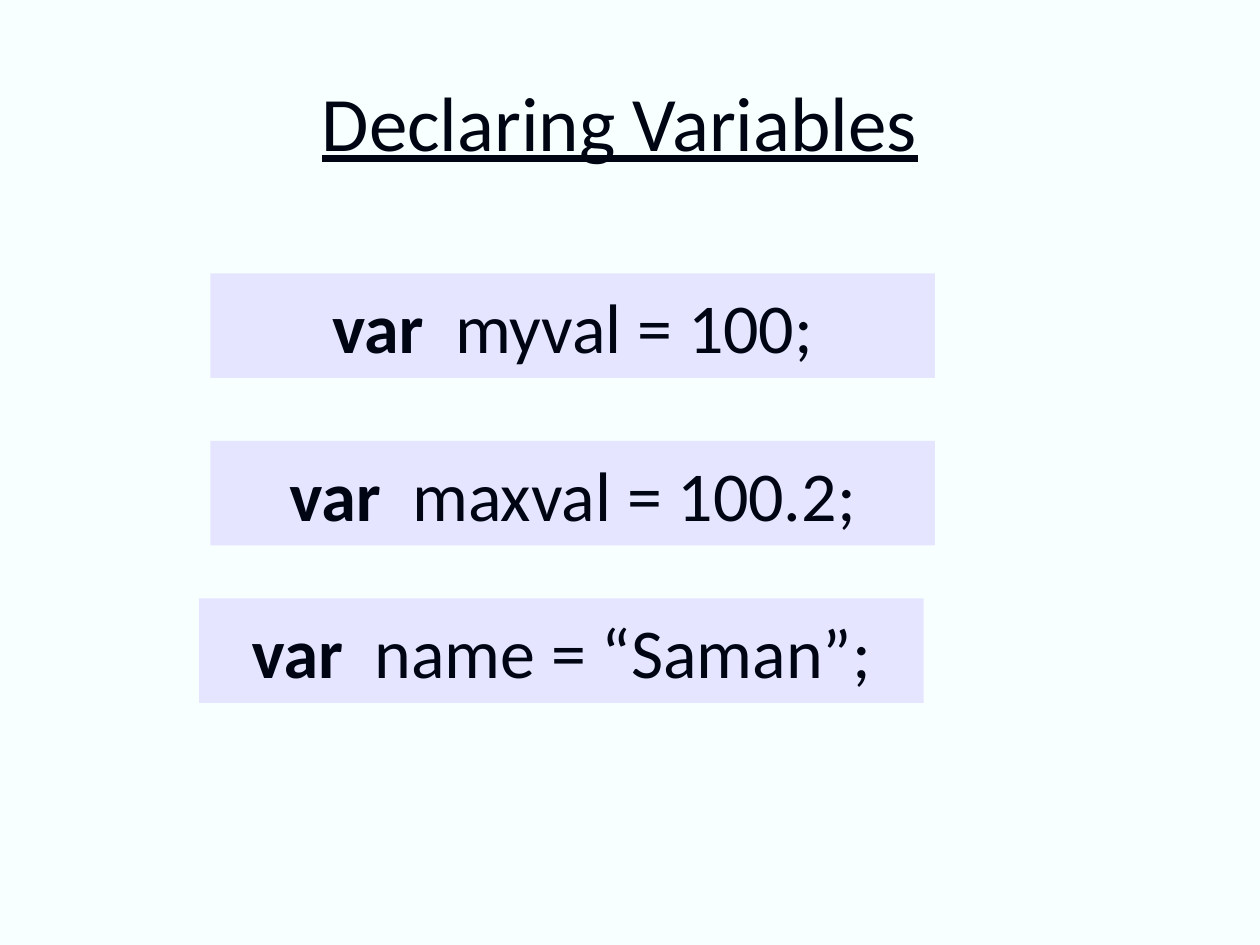
from pptx import Presentation
from pptx.dml.color import RGBColor
from pptx.enum.shapes import MSO_SHAPE
from pptx.enum.text import MSO_ANCHOR, PP_ALIGN
from pptx.util import Inches, Pt

COLORS = {"background": "F7FFFF", "panel": "E5E5FF", "text": "000514"}
TITLE_FORMAT = {"name": "Calibri", "size": Pt(44), "underline": True, "bold": False}
KEYWORD_FORMAT = {"name": "Calibri", "size": Pt(40), "bold": True}
CODE_FORMAT = {**KEYWORD_FORMAT, "bold": False}

PANEL_WIDTH, PANEL_HEIGHT = 5.75, 0.83
DECLARATIONS = [
    (1.67, 2.17, "myval = 100;"),
    (1.67, 3.5, "maxval = 100.2;"),
    (1.58, 4.75, "name = “Saman”;"),
]


def color(role):
    return RGBColor.from_string(COLORS[role])


def add_run(paragraph, text, font_format):
    run = paragraph.add_run()
    run.text = text
    for attribute, value in font_format.items():
        setattr(run.font, attribute, value)
    run.font.color.rgb = color("text")


def place_title(slide, left, top, width, height):
    title = slide.shapes.title
    box = {"left": left, "top": top, "width": width, "height": height}
    for attribute, value in box.items():
        setattr(title, attribute, Inches(value))
    title.text_frame.vertical_anchor = MSO_ANCHOR.MIDDLE
    heading = title.text_frame.paragraphs[0]
    heading.alignment = PP_ALIGN.CENTER
    add_run(heading, "Declaring Variables", TITLE_FORMAT)


def add_declaration(slide, left, top, width, height, assignment):
    """Add a panel with a bold var keyword before the assignment."""
    panel = slide.shapes.add_shape(
        MSO_SHAPE.RECTANGLE, *map(Inches, (left, top, width, height))
    )
    panel.shadow.inherit = False
    panel.fill.solid()
    panel.fill.fore_color.rgb = color("panel")
    panel.line.fill.background()
    panel.text_frame.vertical_anchor = MSO_ANCHOR.MIDDLE
    statement = panel.text_frame.paragraphs[0]
    statement.alignment = PP_ALIGN.CENTER
    add_run(statement, "var", KEYWORD_FORMAT)
    add_run(statement, f"  {assignment}", CODE_FORMAT)


def main():
    presentation = Presentation()
    presentation.slide_width = Inches(10)
    presentation.slide_height = Inches(7.5)
    slide = presentation.slides.add_slide(presentation.slide_layouts[5])
    slide.background.fill.solid()
    slide.background.fill.fore_color.rgb = color("background")

    place_title(slide, 0.42, 0.33, 9, 1.25)
    for left, top, assignment in DECLARATIONS:
        add_declaration(slide, left, top, PANEL_WIDTH, PANEL_HEIGHT, assignment)
    presentation.save("out.pptx")


if __name__ == "__main__":
    main()
